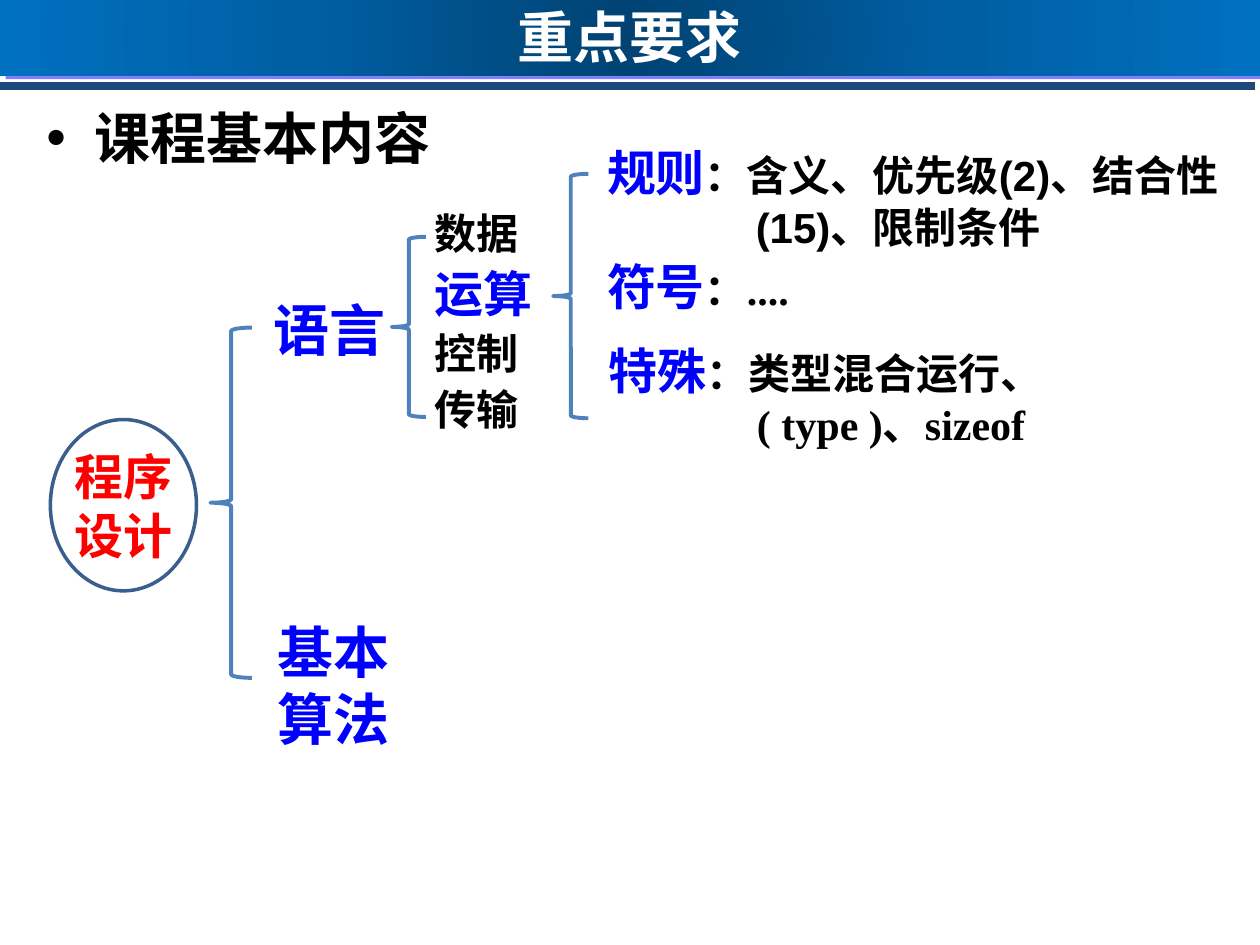
from lxml import etree
from pptx import Presentation
from pptx import util as u
from pptx.dml.color import RGBColor
from pptx.enum import shapes, text
from pptx.oxml import parse_xml
from pptx.oxml.ns import qn

NAMESPACE = 'xmlns:a="http://schemas.openxmlformats.org/drawingml/2006/main"'
SERIF = "Times New Roman"
CJK = "Noto Sans CJK SC"
BLUE, BLACK, RED, WHITE = "0000FF", "000000", "FF0000", "FFFFFF"


def color(value):
    return RGBColor.from_string(value)


def add_run(paragraph, wording, size, font_color, font_name=SERIF):
    run = paragraph.add_run()
    run.text = wording
    run.font.size = u.Pt(size)
    run.font.bold = True
    run.font.name = font_name
    run.font.color.rgb = color(font_color)
    east_asian = etree.SubElement(run.font._element, qn("a:ea"))
    east_asian.set("typeface", CJK)


def set_indent(paragraph, inches):
    properties = paragraph._p.get_or_add_pPr()
    properties.set("marL", str(u.Inches(inches)))
    properties.set("indent", str(-u.Inches(inches)))
    return properties


def add_text(slide, left, top, width, height, paragraphs, indent=0):
    shape = slide.shapes.add_textbox(*map(u.Inches, (left, top, width, height)))
    frame = shape.text_frame
    frame.word_wrap = True
    for index, runs in enumerate(paragraphs):
        paragraph = frame.add_paragraph() if index else frame.paragraphs[0]
        if index:
            paragraph.space_before = u.Pt(3)
        if indent:
            set_indent(paragraph, indent)
        for run in runs:
            if run is None:
                paragraph.add_line_break()
            else:
                add_run(paragraph, *run)
    return frame


def add_outline(slide, kind, left, top, width, height, line_color, line_width):
    shape = slide.shapes.add_shape(kind, *map(u.Inches, (left, top, width, height)))
    shape.shadow.inherit = False
    shape.fill.background()
    shape.line.color.rgb = color(line_color)
    shape.line.width = u.Pt(line_width)
    return shape


def add_brace(slide, left, top, width, height):
    add_outline(slide, shapes.MSO_SHAPE.LEFT_BRACE, left, top, width, height, "4F81BD", 2.25)


def center_text(shape, wording, size, font_color):
    frame = shape.text_frame
    frame.word_wrap = True
    frame.vertical_anchor = text.MSO_ANCHOR.MIDDLE
    frame.margin_left = frame.margin_right = frame.margin_top = frame.margin_bottom = 0
    frame.paragraphs[0].alignment = text.PP_ALIGN.CENTER
    add_run(frame.paragraphs[0], wording, size, font_color, "Calibri")


def add_header(slide, left, top, width, height):
    y = u.Inches(top + height + 0.08)
    rule = slide.shapes.add_connector(
        shapes.MSO_CONNECTOR.STRAIGHT, u.Inches(left - 0.04), y, u.Inches(left + width - 0.04), y)
    rule.line.color.rgb = color("1F497D")
    rule.line.width = u.Pt(4.5)
    rule._element.spPr.append(parse_xml(
        f'<a:effectLst {NAMESPACE}><a:outerShdw dist="{u.Pt(8.5)}" dir="18900000" algn="ctr" '
        f'rotWithShape="0"><a:srgbClr val="{BLUE}"><a:alpha val="50000"/></a:srgbClr>'
        '</a:outerShdw></a:effectLst>'))

    banner = slide.shapes.add_shape(
        shapes.MSO_SHAPE.RECTANGLE, *map(u.Inches, (left, top, width, height)))
    banner.shadow.inherit = False
    banner.line.fill.background()
    stops = "".join(
        f'<a:gs pos="{position * 1000}"><a:srgbClr val="{value}"/></a:gs>'
        for position, value in ((0, "004272"), (50, "005EA2"), (100, "0070C0")))
    gradient = parse_xml(
        f'<a:gradFill {NAMESPACE} rotWithShape="1"><a:gsLst>{stops}</a:gsLst><a:path path="circle">'
        '<a:fillToRect l="50000" t="50000" r="50000" b="50000"/></a:path></a:gradFill>')
    banner._element.spPr.find(qn("a:prstGeom")).addnext(gradient)
    center_text(banner, "重点要求", 32, WHITE)


def add_heading(slide, left, top, width, height):
    frame = add_text(slide, left, top, width, height, [[("课程基本内容", 32, BLACK, CJK)]])
    properties = set_indent(frame.paragraphs[0], 0.38)
    properties.append(parse_xml(f'<a:buFont {NAMESPACE} typeface="Arial"/>'))
    properties.append(parse_xml(f'<a:buChar {NAMESPACE} char="•"/>'))


def add_root(slide, left, top):
    oval = add_outline(slide, shapes.MSO_SHAPE.OVAL, left, top + 0.73, 1.16, 1.36, "3A5F8C", 2)
    center_text(oval, "程序设计", 28, RED)
    add_brace(slide, left + 1.27, top, 0.33, 2.78)
    add_text(slide, left + 1.67, top - 0.3, 1.13, 0.64, [[("语言", 32, BLUE)]])
    add_text(slide, left + 1.7, top + 2.25, 1.18, 1.18, [[("基本算法", 32, BLUE)]])


def add_language(slide, left, top):
    add_brace(slide, left, top + 0.28, 0.27, 1.43)
    topics = [("数据", 24, BLACK), ("运算", 28, BLUE), ("控制", 24, BLACK), ("传输", 24, BLACK)]
    add_text(slide, left + 0.24, top, 1.03, 1.98, [[topic] for topic in topics])


def add_operations(slide, left, top):
    add_brace(slide, left, top + 0.3, 0.28, 1.94)
    rules = [
        ("规则", 28, BLUE), ("：含义、优先级", 24, BLACK), ("(2)", 24, BLACK, "Arial"),
        ("、结合性", 24, BLACK), ("(15)", 24, BLACK, "Arial"), ("、限制条件", 24, BLACK)]
    symbols = [("符号", 28, BLUE), ("：....", 24, BLACK)]
    special = [
        ("特殊", 28, BLUE), ("：类型混合运行、", 24, BLACK), None,
        ("( type )、sizeof", 24, BLACK)]
    add_text(slide, left + 0.33, top, 5.07, 1.49, [rules, symbols], 1.18)
    add_text(slide, left + 0.34, top + 1.57, 5.07, 0.98, [special], 1.18)


def main():
    presentation = Presentation()
    presentation.slide_width = u.Inches(10)
    presentation.slide_height = u.Inches(7.5)
    slide = presentation.slides.add_slide(presentation.slide_layouts[6])
    add_header(slide, 0, -0.03, 10, 0.63)
    add_heading(slide, 0.27, 0.77, 9.49, 0.61)
    add_root(slide, 0.4, 2.6)
    add_language(slide, 3.11, 1.6)
    add_operations(slide, 4.39, 1.08)
    presentation.save("out.pptx")


if __name__ == "__main__":
    main()
